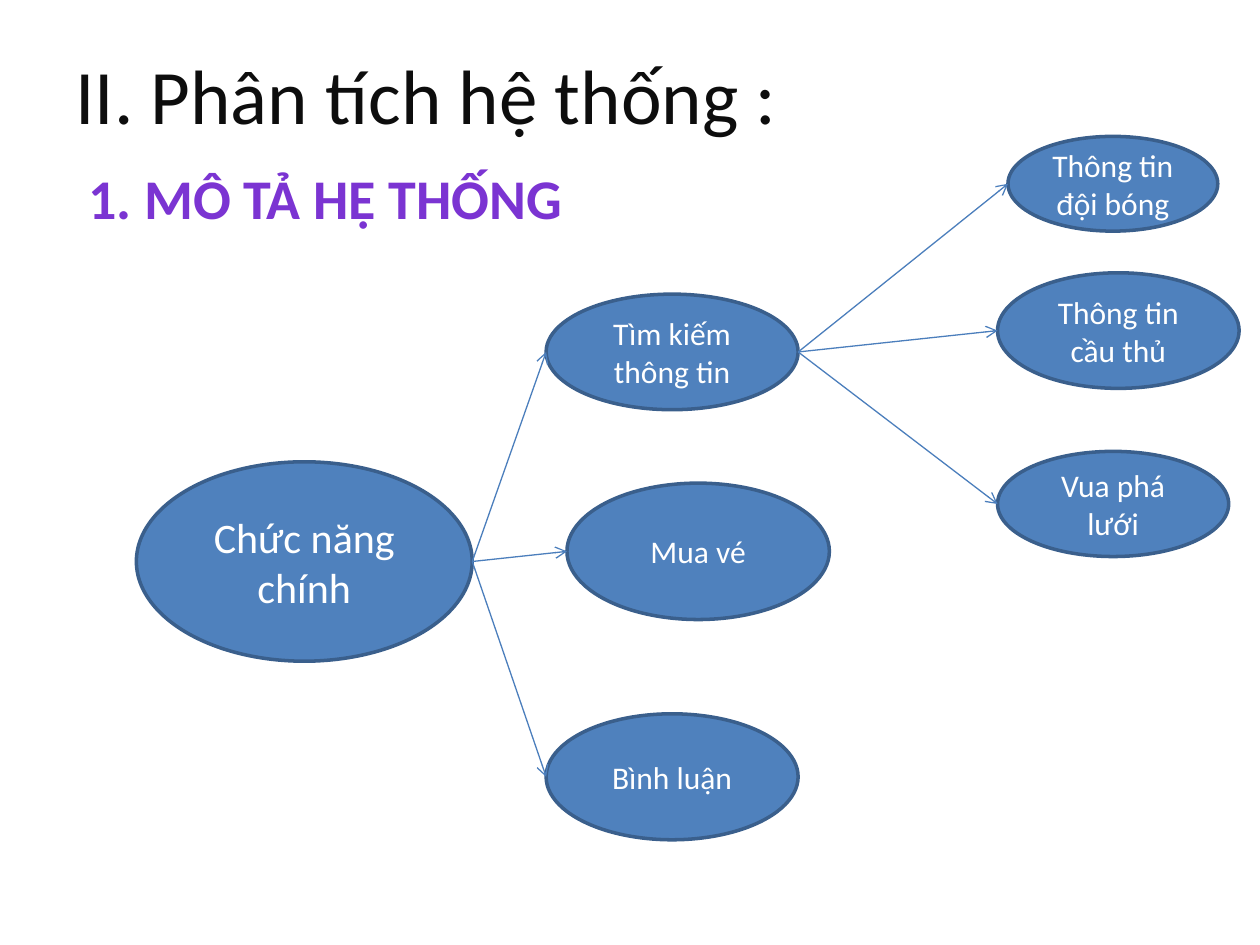
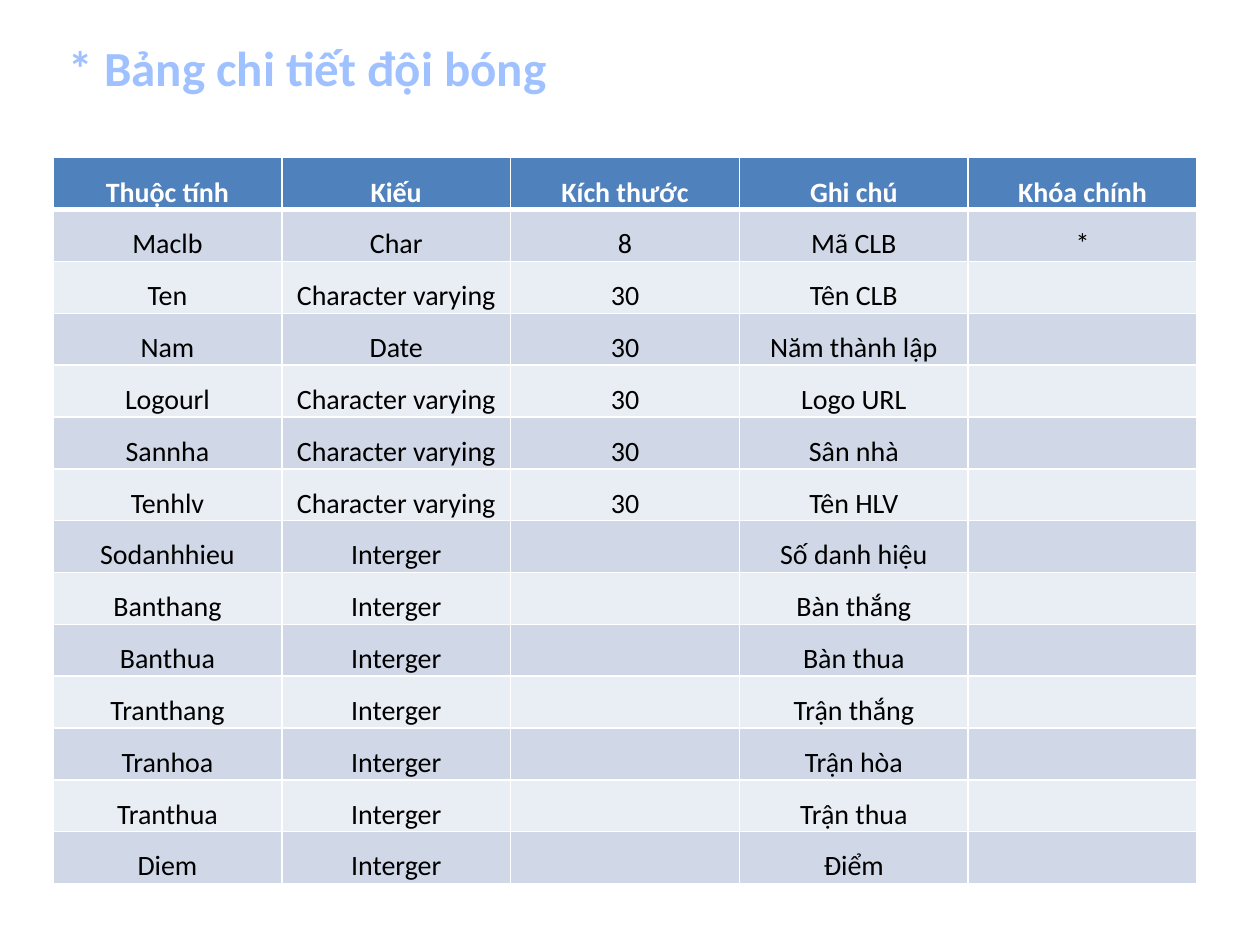
"""Build two slides: a tree of system functions and the table of football team fields."""
import lxml.etree
import pptx
import pptx.dml.color
import pptx.enum.shapes
import pptx.enum.text
import pptx.oxml.ns
import pptx.util

Cm, Pt = pptx.util.Cm, pptx.util.Pt
qn = pptx.oxml.ns.qn
CENTER = pptx.enum.text.PP_ALIGN.CENTER
LEFT = pptx.enum.text.PP_ALIGN.LEFT
FONT = "Calibri"
WHITE, BLACK, BLUE = "FFFFFF", "000000", "4F81BD"
NODE_OUTLINE, ARROW = "3A5F8C", "4B7EBC"
BANDS = ["E9EDF4", "D0D8E8"]


def color(hex_value):
    return pptx.dml.color.RGBColor.from_string(hex_value)


def add_run(paragraph, text, size, hex_value, bold=False):
    run = paragraph.add_run()
    run.text = text
    run.font.name = FONT
    run.font.size = Pt(size)
    run.font.bold = bold
    run.font.color.rgb = color(hex_value)


deck = pptx.Presentation()
deck.slide_width, deck.slide_height = Cm(25.4), Cm(19.05)
blank = deck.slide_layouts[6]
functions_slide = deck.slides.add_slide(blank)
team_slide = deck.slides.add_slide(blank)

headings = [
    (functions_slide, "II. Phân tích hệ thống :", (1.27, 0.84, 17.35, 2.13), 44, "0D0D0D", False, LEFT),
    (functions_slide, "1. MÔ TẢ HỆ THỐNG", (1.47, 3.18, 10.19, 1.63), 32, "7B34D2", True, CENTER),
    (team_slide, "* Bảng chi tiết đội bóng", (1.07, 0.64, 10.26, 1.45), 28, "A0C1FF", True, CENTER),
]
for slide, text, place, size, hex_value, bold, alignment in headings:
    heading = slide.shapes.add_textbox(*map(Cm, place)).text_frame
    heading.word_wrap = alignment == LEFT
    heading.paragraphs[0].alignment = alignment
    add_run(heading.paragraphs[0], text, size, hex_value, bold)

functions = [
    ("Chức năng chính", (2.75, 9.31, 6.77, 4.02), 24),
    ("Tìm kiếm thông tin", (11.01, 5.93, 5.08, 2.33), 18),
    ("Mua vé", (11.43, 9.74, 5.29, 2.75), 18),
    ("Bình luận", (11.01, 14.39, 5.08, 2.54), 18),
    ("Thông tin đội bóng", (20.32, 2.75, 4.23, 1.91), 18),
    ("Thông tin cầu thủ", (20.11, 5.5, 4.87, 2.33), 18),
    ("Vua phá lưới", (20.11, 9.1, 4.66, 2.12), 18),
]
nodes = {}
for text, place, size in functions:
    node = functions_slide.shapes.add_shape(pptx.enum.shapes.MSO_SHAPE.OVAL, *map(Cm, place))
    node.shadow.inherit = False
    node.fill.solid()
    node.fill.fore_color.rgb = color(BLUE)
    node.line.color.rgb = color(NODE_OUTLINE)
    node.line.width = Pt(2)
    node.text_frame.word_wrap = True
    node.text_frame.vertical_anchor = pptx.enum.text.MSO_ANCHOR.MIDDLE
    node.text_frame.paragraphs[0].alignment = CENTER
    add_run(node.text_frame.paragraphs[0], text, size, WHITE)
    nodes[text] = node

branches = {
    "Chức năng chính": ["Tìm kiếm thông tin", "Mua vé", "Bình luận"],
    "Tìm kiếm thông tin": ["Thông tin đội bóng", "Thông tin cầu thủ", "Vua phá lưới"],
}
for parent_name, child_names in branches.items():
    parent = nodes[parent_name]
    for child in [nodes[name] for name in child_names]:
        branch = functions_slide.shapes.add_connector(
            pptx.enum.shapes.MSO_CONNECTOR.STRAIGHT,
            parent.left + parent.width, parent.top + parent.height // 2,
            child.left, child.top + child.height // 2)
        branch.line.color.rgb = color(ARROW)
        branch.line.width = Pt(0.75)
        lxml.etree.SubElement(branch.line._get_or_add_ln(), qn("a:tailEnd"), type="arrow")
        lxml.etree.SubElement(branch._element.spPr, qn("a:effectLst"))

fields = [
    ("Thuộc tính", "Kiếu", "Kích thước", "Ghi chú", "Khóa chính"),
    ("Maclb", "Char", "8", "Mã CLB", "*"),
    ("Ten", "Character varying", "30", "Tên CLB", ""),
    ("Nam", "Date", "30", "Năm thành lập", ""),
    ("Logourl", "Character varying", "30", "Logo URL", ""),
    ("Sannha", "Character varying", "30", "Sân nhà", ""),
    ("Tenhlv", "Character varying", "30", "Tên HLV", ""),
    ("Sodanhhieu", "Interger", "", "Số danh hiệu", ""),
    ("Banthang", "Interger", "", "Bàn thắng", ""),
    ("Banthua", "Interger", "", "Bàn thua", ""),
    ("Tranthang", "Interger", "", "Trận thắng", ""),
    ("Tranhoa", "Interger", "", "Trận hòa", ""),
    ("Tranthua", "Interger", "", "Trận thua", ""),
    ("Diem", "Interger", "", "Điểm", ""),
]
team_table = team_slide.shapes.add_table(
    len(fields), len(fields[0]), Cm(1.07), Cm(3.18), Cm(23.06), Cm(14.63)).table
for row, values in enumerate(fields):
    is_header = row == 0
    for column, text in enumerate(values):
        cell = team_table.cell(row, column)
        cell.margin_left = cell.margin_right = Cm(0.18)
        cell.margin_top = cell.margin_bottom = 0
        cell.vertical_anchor = pptx.enum.text.MSO_ANCHOR.BOTTOM
        for side in ("L", "R", "T", "B"):
            under_header = (row, side) in [(0, "B"), (1, "T")]
            border = lxml.etree.SubElement(
                cell._tc.get_or_add_tcPr(), qn(f"a:ln{side}"), w=str(Pt(3 if under_header else 1)))
            border_fill = lxml.etree.SubElement(border, qn("a:solidFill"))
            lxml.etree.SubElement(border_fill, qn("a:srgbClr"), val=WHITE)
        cell.fill.solid()
        cell.fill.fore_color.rgb = color(BLUE if is_header else BANDS[row % 2])
        if text:
            paragraph = cell.text_frame.paragraphs[0]
            paragraph.alignment = CENTER
            paragraph.line_spacing = 1.15
            add_run(paragraph, text, 16, WHITE if is_header else BLACK, is_header)

deck.save("out.pptx")
